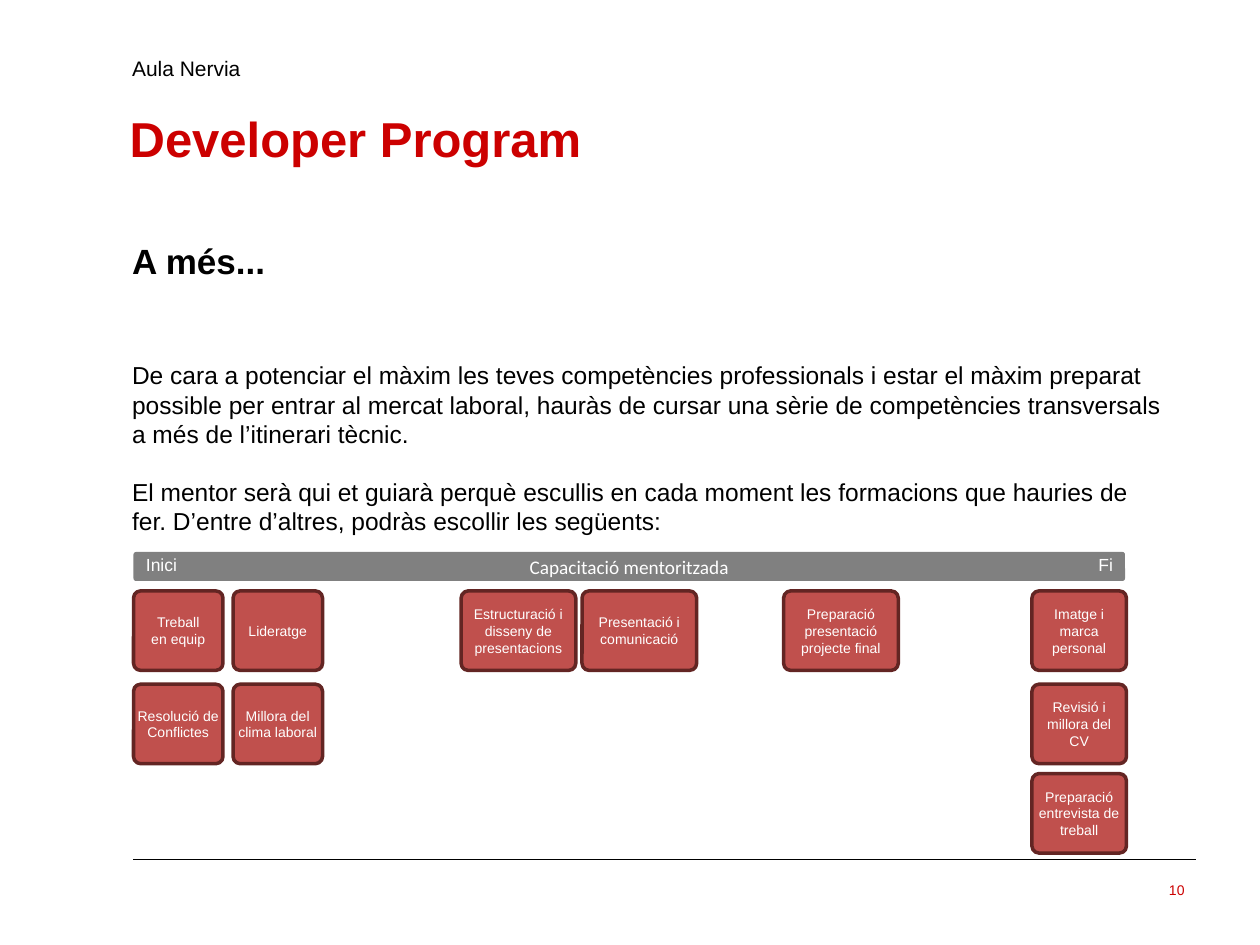
"""Build the Developer Program slide on mentored transversal training."""
import lxml.etree
import pptx
import pptx.dml.color
import pptx.enum.shapes
import pptx.enum.text
import pptx.oxml.ns
import pptx.util

Pt = pptx.util.Pt
ALIGN = pptx.enum.text.PP_ALIGN
ANCHOR = pptx.enum.text.MSO_ANCHOR

THEME = {
    "red": "CC0000", "black": "000000", "white": "FFFFFF",
    "bar": "808080", "card": "C0504D", "card_line": "632523",
    "font": "Arial", "bar_font": "Calibri",
    "title": 28, "subtitle": 20, "body": 14, "header": 12,
    "bar_text": 11, "bar_end": 10, "small": 8,
}

BODY = [
    "De cara a potenciar el màxim les teves competències professionals i estar "
    "el màxim preparat possible per entrar al mercat laboral, hauràs de cursar "
    "una sèrie de competències transversals a més de l’itinerari tècnic.",
    "El mentor serà qui et guiarà perquè escullis en cada moment les formacions "
    "que hauries de fer. D’entre d’altres, podràs escollir les següents:",
]

TEXTS = [
    (["10"], (516.2, 500.4, 167.8, 28.8), "small", "red", {"alignment": ALIGN.RIGHT}, {}),
    (["Aula Nervia"], (68.4, 28.1, 81.4, 21.6), "header", "black", {}, {}),
    (BODY, (68.4, 202.3, 607, 131), "body", "black", {}, {}),
    (["A més..."], (68.4, 133.2, 444.2, 31.7), "subtitle", "black",
     {"line_spacing": Pt(24)}, {"bold": True}),
    (["Developer Program"], (67, 58.3, 612.7, 69.8), "title", "red", {}, {"bold": True}),
]
BAR = (["Capacitació mentoritzada"], (76.3, 315.4, 566.6, 16.6))
BAR_ENDS = [("Inici", 76.3), ("Fi", 620.6)]

COLUMNS = [
    (76.3, 51.1, [["Treball", "en equip"], ["Resolució de Conflictes"]]),
    (133.2, 51.1, [["Lideratge"], ["Millora del clima laboral"]]),
    (263.5, 65.5, [["Estructuració i disseny de presentacions"]]),
    (332.6, 65.5, [["Presentació i comunicació"]]),
    (447.8, 65.5, [["Preparació presentació projecte final"]]),
    (589.7, 54, [["Imatge i marca personal"], ["Revisió i millora del", "CV"],
                 ["Preparació entrevista de treball"]]),
]
ROW_TOPS = [337.7, 391, 442.1]
CARD_HEIGHT = 45.4
BODY_GAP = 16.1
CORNER = 0.089


def color(name):
    return pptx.dml.color.RGBColor.from_string(THEME[name])


def apply(target, values):
    for name, value in values.items():
        setattr(target, name, value)


def write(frame, lines, size, ink, para_format, span_format, font="font", gap=0):
    frame.word_wrap = True
    for index, line in enumerate(lines):
        para = frame.add_paragraph() if index else frame.paragraphs[0]
        apply(para, para_format)
        if index and gap:
            para.space_before = Pt(gap)
        span = para.add_run()
        span.text = line
        apply(span.font, {"name": THEME[font], "size": Pt(THEME[size]), **span_format})
        span.font.color.rgb = color(ink)


def add_text(page, lines, place, size, ink, para_format, span_format):
    box = page.shapes.add_textbox(*map(Pt, place))
    write(box.text_frame, lines, size, ink, para_format, span_format, gap=BODY_GAP)


def add_card(page, lines, place, fill, size, outline=None, font="font"):
    card = page.shapes.add_shape(
        pptx.enum.shapes.MSO_SHAPE.ROUNDED_RECTANGLE, *map(Pt, place))
    card.adjustments[0] = CORNER
    card.shadow.inherit = False
    card.fill.solid()
    card.fill.fore_color.rgb = color(fill)
    if outline:
        card.line.color.rgb = color(outline)
        card.line.width = Pt(2)
    else:
        card.line.fill.background()
    apply(card.text_frame, {
        "margin_left": 0, "margin_right": 0, "margin_top": 0, "margin_bottom": 0,
        "vertical_anchor": ANCHOR.MIDDLE})
    write(card.text_frame, lines, size, "white", {"alignment": ALIGN.CENTER}, {}, font)


def add_rule(page):
    rule = page.shapes.add_connector(
        pptx.enum.shapes.MSO_CONNECTOR.STRAIGHT, *map(Pt, (76.3, 491, 683.3, 491)))
    rule.line.color.rgb = color("black")
    rule.line.width = Pt(0.5)
    lxml.etree.SubElement(rule._element.spPr, pptx.oxml.ns.qn("a:effectLst"))


def main():
    deck = pptx.Presentation()
    apply(deck, {"slide_width": Pt(720), "slide_height": Pt(540)})
    page = deck.slides.add_slide(deck.slide_layouts[6])
    add_rule(page)
    for text in TEXTS:
        add_text(page, *text)
    add_card(page, *BAR, "bar", "bar_text", font="bar_font")
    for left, width, cards in COLUMNS:
        for top, lines in zip(ROW_TOPS, cards):
            add_card(page, lines, (left, top, width, CARD_HEIGHT),
                     "card", "small", "card_line")
    for label, left in BAR_ENDS:
        add_text(page, [label], (left, 313.2, 39.6, 19.4), "bar_end", "white", {}, {})
    deck.save("out.pptx")


if __name__ == "__main__":
    main()
